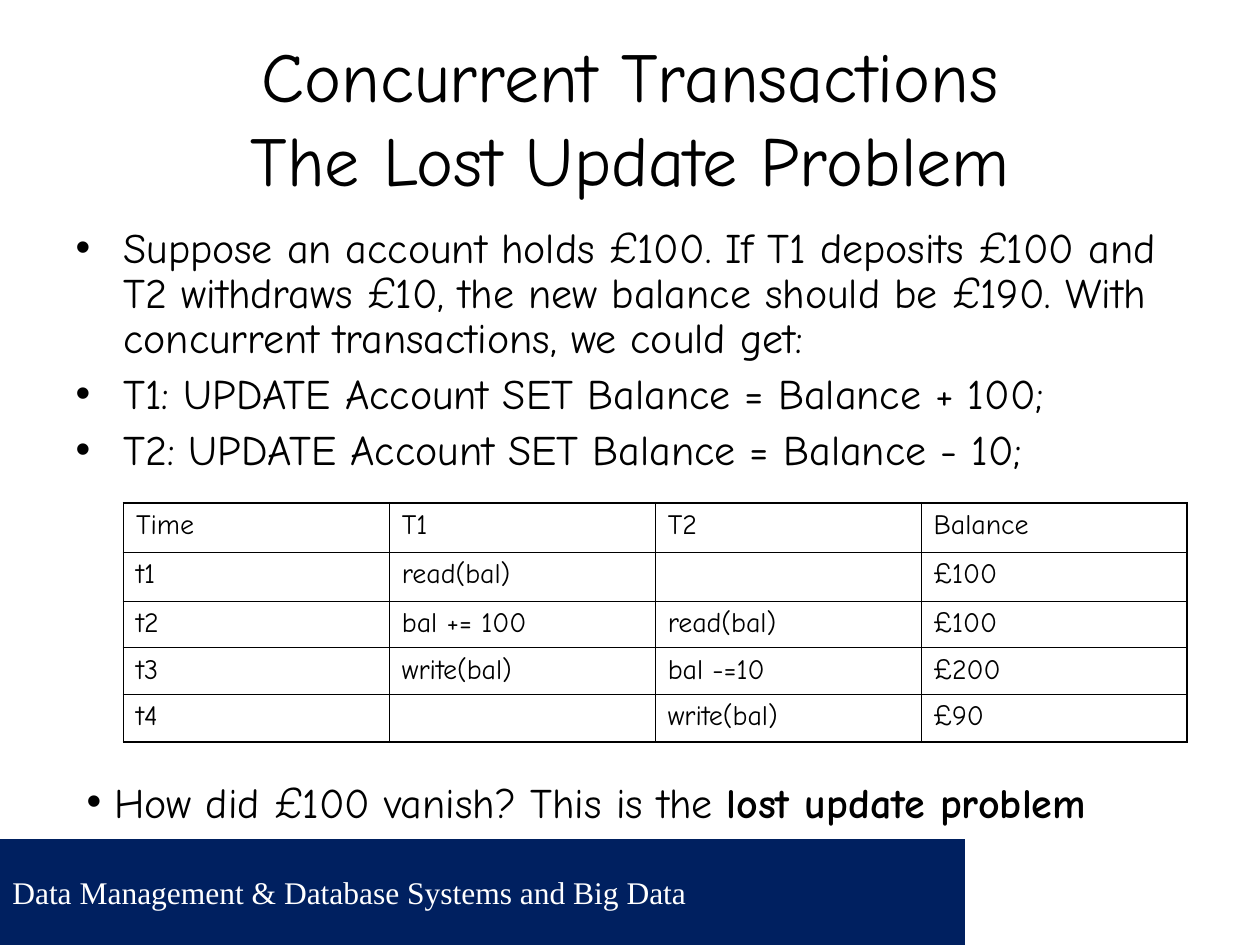
from lxml.etree import SubElement
from pptx import Presentation
from pptx.dml.color import RGBColor
from pptx.enum.shapes import MSO_SHAPE
from pptx.enum.text import MSO_ANCHOR, MSO_AUTO_SIZE, PP_ALIGN
from pptx.oxml.ns import qn
from pptx.util import Inches, Pt

HAND_FONT = "Comic Neue"
BLACK, WHITE, NAVY = "000000", "FFFFFF", "002060"
ROW_HEIGHTS = [0.39, 0.39, 0.37, 0.37, 0.37]
SCHEDULE = [
    ["Time", "T1", "T2", "Balance"],
    ["t1", "read(bal)", "", "£100"],
    ["t2", "bal += 100", "read(bal)", "£100"],
    ["t3", "write(bal)", "bal -=10", "£200"],
    ["t4", "", "write(bal)", "£90"],
]


def color(value):
    return RGBColor.from_string(value)


def place(shape, left, top, width, height):
    shape.left, shape.top = Inches(left), Inches(top)
    shape.width, shape.height = Inches(width), Inches(height)


def write_text(paragraph, text, size=24, font=HAND_FONT, fill=BLACK,
               bold=False, italic_pounds=False):
    """Append text to the paragraph, with pound signs in italics on request."""
    pieces = text.replace("£", "|£|").split("|") if italic_pounds else [text]
    for piece in pieces:
        run = paragraph.add_run()
        run.text = piece
        run.font.size = Pt(size)
        run.font.name = font
        run.font.color.rgb = color(fill)
        run.font.bold = bold
        run.font.italic = italic_pounds and piece == "£"


def add_bullet(paragraph, hanging):
    properties = paragraph._p.get_or_add_pPr()
    properties.set("marL", str(Inches(hanging)))
    properties.set("indent", str(-Inches(hanging)))
    bullet_color = SubElement(properties, qn("a:buClr"))
    SubElement(bullet_color, qn("a:srgbClr"), val=BLACK)
    SubElement(properties, qn("a:buFont"), typeface="Arial")
    SubElement(properties, qn("a:buChar"), char="•")


def fill_title(title, *box):
    place(title, *box)
    frame = title.text_frame
    frame.auto_size = MSO_AUTO_SIZE.NONE
    frame.vertical_anchor = MSO_ANCHOR.MIDDLE
    paragraph = frame.paragraphs[0]
    paragraph.alignment = PP_ALIGN.CENTER
    write_text(paragraph, "Concurrent Transactions", size=40)
    paragraph.add_line_break()
    write_text(paragraph, "The Lost Update Problem", size=40)


def fill_body(body, *box):
    place(body, *box)
    frame = body.text_frame
    frame.auto_size = MSO_AUTO_SIZE.NONE
    lines = [
        "Suppose an account holds £100. If T1 deposits £100 and T2 withdraws "
        "£10, the new balance should be £190. With concurrent transactions, "
        "we could get:",
        "T1: UPDATE Account SET Balance = Balance + 100;",
        "T2: UPDATE Account SET Balance = Balance - 10;",
    ]
    for index, line in enumerate(lines):
        paragraph = frame.add_paragraph() if index else frame.paragraphs[0]
        add_bullet(paragraph, 0.38)
        paragraph.line_spacing = 0.9
        paragraph.space_before = Pt(6 if index else 0)
        write_text(paragraph, line, italic_pounds=True)


def set_borders(cell, widths):
    properties = cell._tc.get_or_add_tcPr()
    for side, width in zip("LRTB", widths):
        line = SubElement(properties, qn(f"a:ln{side}"), w=str(Pt(width)))
        fill = SubElement(line, qn("a:solidFill"))
        SubElement(fill, qn("a:srgbClr"), val=BLACK)


def add_schedule(slide, left, top, width, height):
    rows, columns = len(SCHEDULE), len(SCHEDULE[0])
    table = slide.shapes.add_table(
        rows, columns, Inches(left), Inches(top), Inches(width), Inches(height)
    ).table
    table.first_row = table.horz_banding = False
    for row, row_height in zip(table.rows, ROW_HEIGHTS):
        row.height = Inches(row_height)
    for row, texts in enumerate(SCHEDULE):
        for column, text in enumerate(texts):
            cell = table.cell(row, column)
            outer_sides = (column == 0, column == columns - 1,
                           row == 0, row == rows - 1)
            set_borders(cell, [1.08 if outer else 0.45 for outer in outer_sides])
            cell.fill.background()
            write_text(cell.text_frame.paragraphs[0], text, size=16)


def add_question(slide, *box):
    shape = slide.shapes.add_textbox(*map(Inches, box))
    shape.text_frame.word_wrap = True
    paragraph = shape.text_frame.paragraphs[0]
    add_bullet(paragraph, 0.22)
    write_text(paragraph, "How did £100 vanish? This is the ", italic_pounds=True)
    write_text(paragraph, "lost update problem", bold=True)


def add_block(slide, fill, *box):
    block = slide.shapes.add_shape(MSO_SHAPE.RECTANGLE, *map(Inches, box))
    block.shadow.inherit = False
    block.fill.solid()
    block.fill.fore_color.rgb = color(fill)
    block.line.fill.background()
    return block


def add_footer(slide, left, top, width, height):
    band = add_block(slide, NAVY, left, top, width, height)
    band.text_frame.vertical_anchor = MSO_ANCHOR.MIDDLE
    paragraph = band.text_frame.paragraphs[0]
    paragraph.alignment = PP_ALIGN.LEFT
    write_text(paragraph, "Data Management & Database Systems and Big Data",
               size=18, font="Times New Roman", fill=WHITE)
    corner_width = 2.34
    add_block(slide, WHITE, left + width - corner_width, top, corner_width, height)


def main():
    presentation = Presentation()
    presentation.slide_width, presentation.slide_height = Inches(10), Inches(7.5)
    slide = presentation.slides.add_slide(presentation.slide_layouts[1])
    add_footer(slide, 0, 6.66, 10, 0.84)
    fill_title(slide.shapes.title, 0.5, 0.3, 9, 1.25)
    fill_body(slide.placeholders[1], 0.5, 1.75, 8.91, 2.08)
    add_schedule(slide, 0.98, 3.99, 8.44, sum(ROW_HEIGHTS))
    add_question(slide, 0.59, 6.11, 8.9, 0.5)
    presentation.save("out.pptx")


if __name__ == "__main__":
    main()
